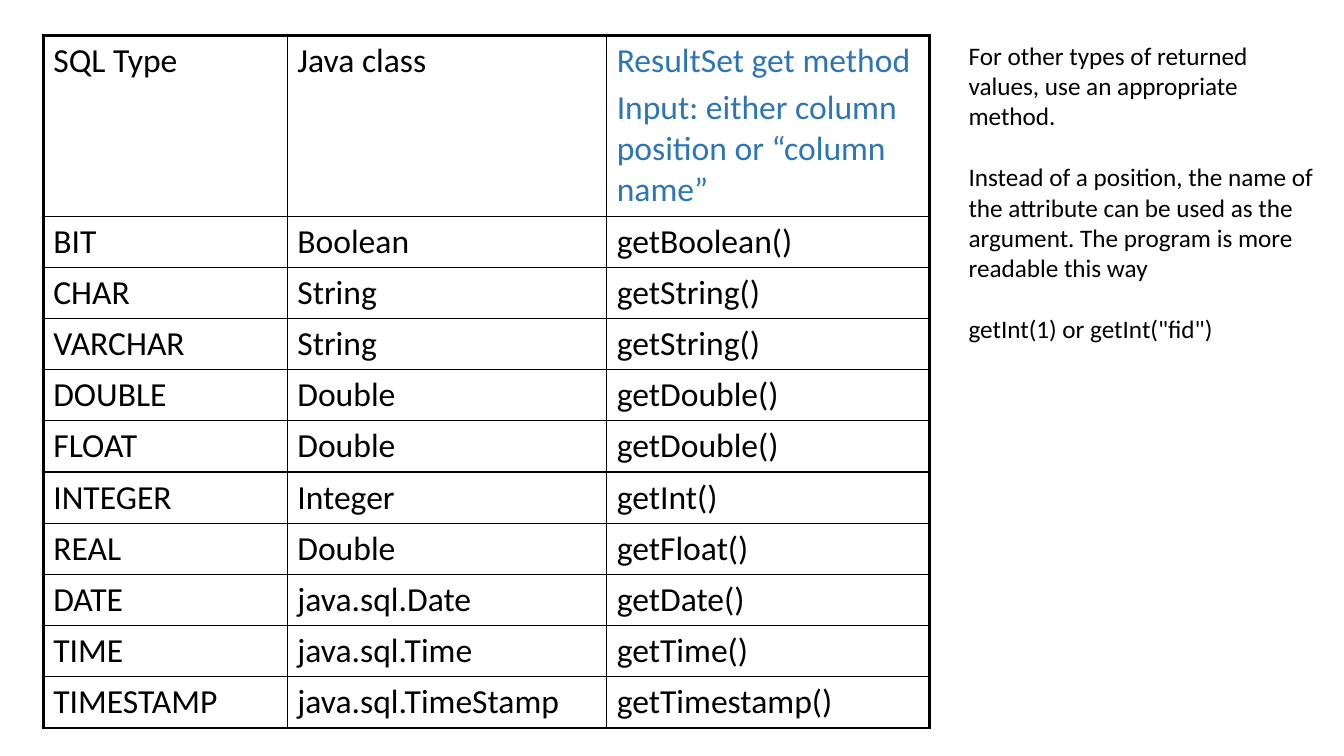
from lxml import etree
from pptx import Presentation
from pptx.dml.color import RGBColor
from pptx.enum.text import MSO_AUTO_SIZE
from pptx.oxml.ns import qn
from pptx.util import Cm, Pt

FIT_SHAPE = MSO_AUTO_SIZE.SHAPE_TO_FIT_TEXT
FONT = "Calibri"
BLACK, BLUE = "000000", "2E75B6"
INNER, OUTER = Pt(1), Pt(2.25)

COL_WIDTHS = [6.15, 8.05, 8.13]
HEADER_HEIGHT, ROW_HEIGHT = 4.53, 1.29
TYPE_ROWS = [
    ["SQL Type", "Java class",
     "ResultSet get method\nInput: either column position or “column name”"],
    ["BIT", "Boolean", "getBoolean()"],
    ["CHAR", "String", "getString()"],
    ["VARCHAR", "String", "getString()"],
    ["DOUBLE", "Double", "getDouble()"],
    ["FLOAT", "Double", "getDouble()"],
    ["INTEGER", "Integer", "getInt()"],
    ["REAL", "Double", "getFloat()"],
    ["DATE", "java.sql.Date", "getDate()"],
    ["TIME", "java.sql.Time", "getTime()"],
    ["TIMESTAMP", "java.sql.TimeStamp", "getTimestamp()"],
]
NOTES = [
    "For other types of returned values, use an appropriate method.",
    "Instead of a position, the name of the attribute can be used as the "
    "argument. The program is more readable this way",
    'getInt(1) or getInt("fid")',
]


def rgb(color):
    return RGBColor.from_string(color)


def write_paragraphs(tf, lines, size, gap, color=BLACK):
    """Fill a text frame, with a gap between paragraphs."""
    for i, line in enumerate(lines):
        p = tf.paragraphs[0] if i == 0 else tf.add_paragraph()
        p.text = line
        p.font.name, p.font.size = FONT, Pt(size)
        p.font.color.rgb = rgb(color)
        if i:
            p.space_before = Pt(gap)


def set_borders(cell, widths):
    """Draw the left, right, top and bottom borders, in that order."""
    tc_pr = cell._tc.get_or_add_tcPr()
    for i, (side, width) in enumerate(zip("LRTB", widths)):
        ln = etree.Element(qn(f"a:ln{side}"), w=str(width))
        fill = etree.SubElement(ln, qn("a:solidFill"))
        etree.SubElement(fill, qn("a:srgbClr"), val=BLACK)
        tc_pr.insert(i, ln)


def add_type_table(slide, left, top):
    last_row, last_col = len(TYPE_ROWS) - 1, len(COL_WIDTHS) - 1
    height = HEADER_HEIGHT + last_row * ROW_HEIGHT
    table = slide.shapes.add_table(
        last_row + 1, last_col + 1, Cm(left), Cm(top),
        Cm(sum(COL_WIDTHS)), Cm(height)).table
    table.first_row = table.horz_banding = False
    for col, width in zip(table.columns, COL_WIDTHS):
        col.width = Cm(width)

    for r, texts in enumerate(TYPE_ROWS):
        table.rows[r].height = Cm(ROW_HEIGHT if r else HEADER_HEIGHT)
        for c, text in enumerate(texts):
            cell = table.cell(r, c)
            cell.fill.background()
            color = BLUE if r == 0 and c == last_col else BLACK
            write_paragraphs(cell.text_frame, text.split("\n"), 24, 4.8, color)
            on_edge = [c == 0, c == last_col, r == 0, r == last_row]
            set_borders(cell, [OUTER if edge else INNER for edge in on_edge])


def add_notes_box(slide, left, top, width, height):
    tf = slide.shapes.add_textbox(
        Cm(left), Cm(top), Cm(width), Cm(height)).text_frame
    tf.word_wrap = True
    tf.auto_size = FIT_SHAPE
    write_paragraphs(tf, NOTES, 18, 22)


def main():
    prs = Presentation()
    prs.slide_width, prs.slide_height = Cm(33.87), Cm(19.05)
    slide = prs.slides.add_slide(prs.slide_layouts[6])

    # Type mapping on the left, remarks on the right
    add_type_table(slide, 1.09, 0.89)
    add_notes_box(slide, 24.16, 0.89, 9.4, 7.95)

    prs.save("out.pptx")


main()
